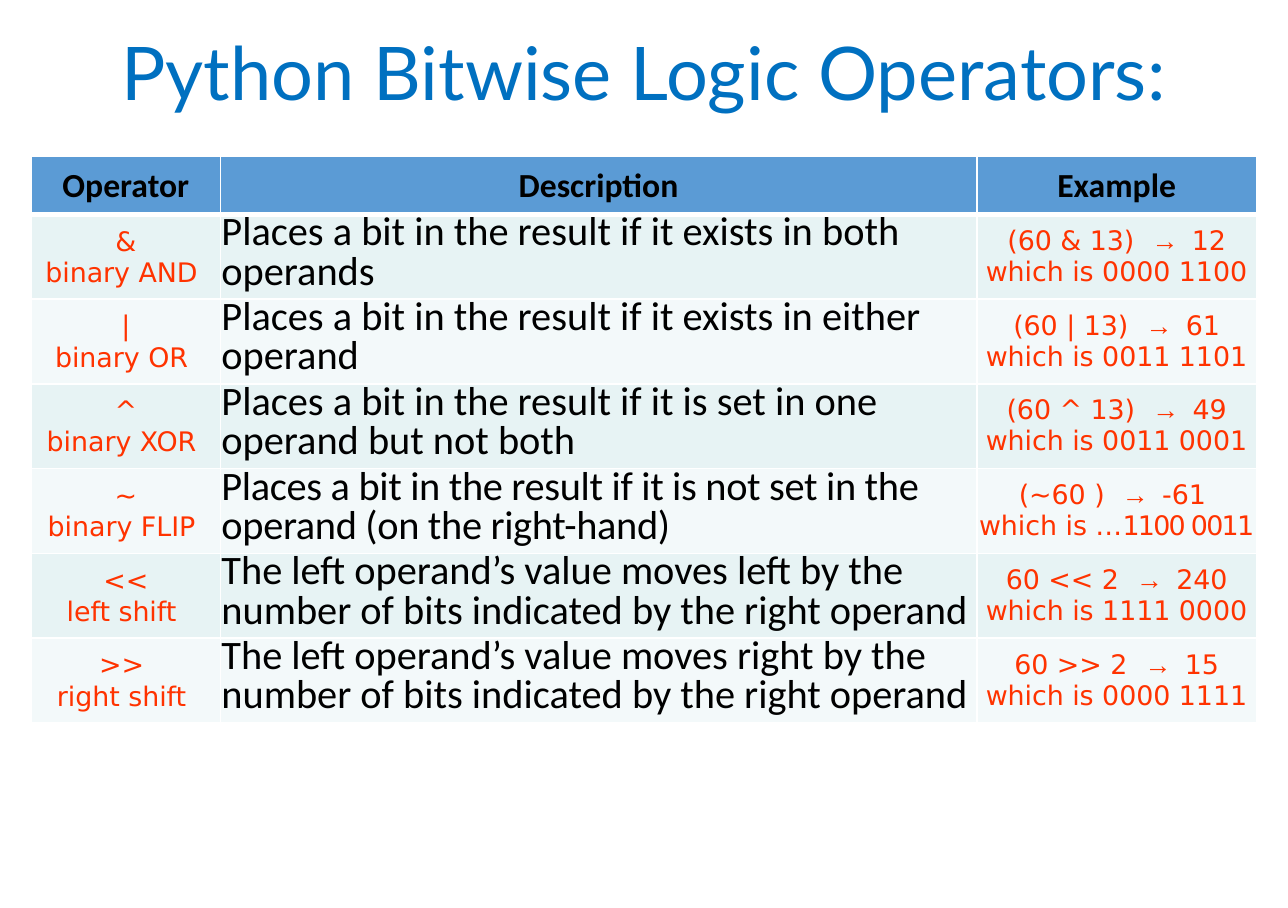
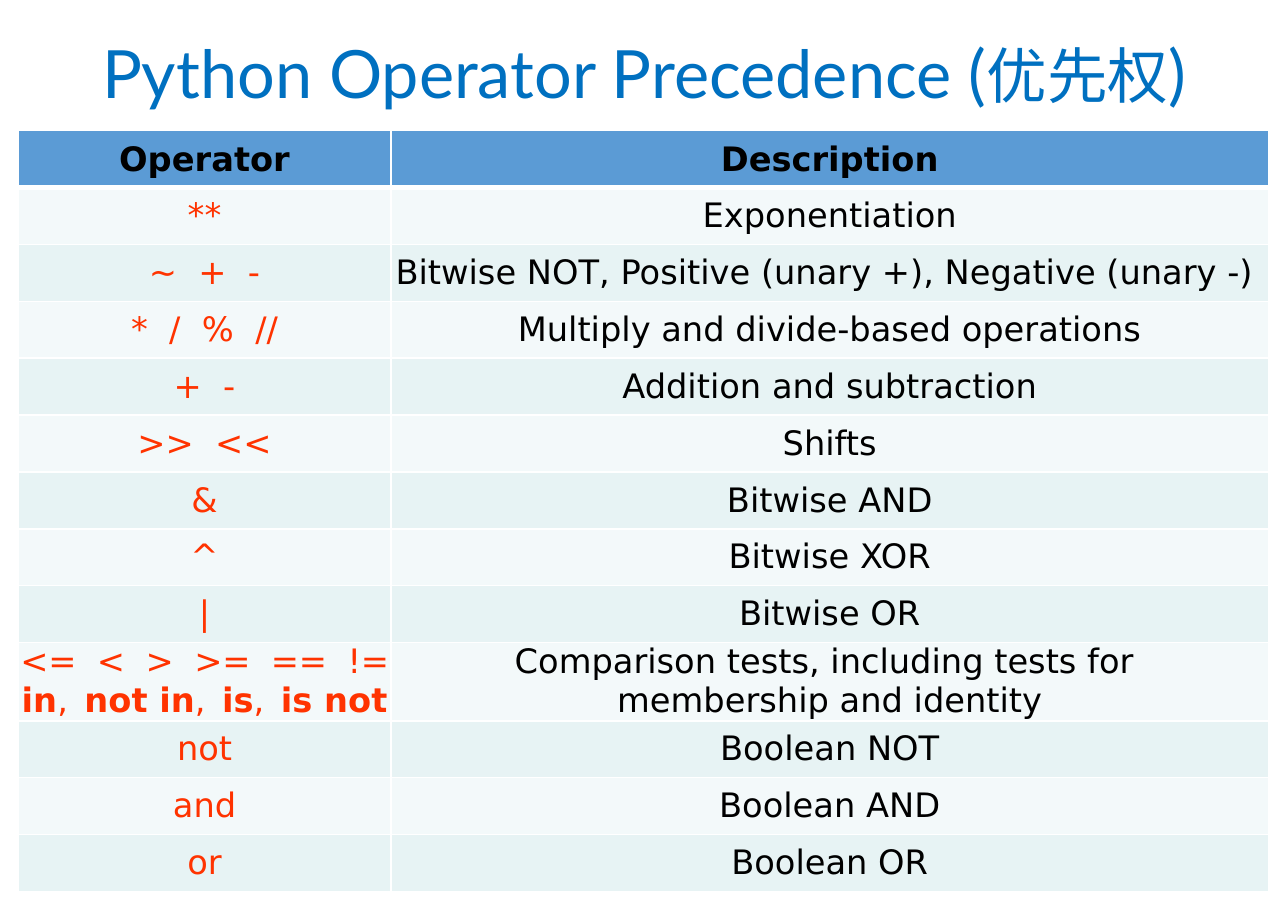
from dataclasses import dataclass, field
from typing import Any

from lxml import etree
from pptx import Presentation
from pptx.dml.color import RGBColor
from pptx.enum.text import MSO_ANCHOR, MSO_AUTO_SIZE, PP_ALIGN
from pptx.oxml.ns import qn
from pptx.util import Inches, Pt

LEFT, CENTER = PP_ALIGN.LEFT, PP_ALIGN.CENTER
TOP, MIDDLE = MSO_ANCHOR.TOP, MSO_ANCHOR.MIDDLE
NO_AUTOFIT = MSO_AUTO_SIZE.NONE
TITLE_ONLY = 5

TITLE_BLUE = RGBColor(0x00, 0x70, 0xC0)
HEADER_BLUE = RGBColor(0x5B, 0x9B, 0xD5)
BAND_DARK = RGBColor(0xE7, 0xF3, 0xF4)
BAND_LIGHT = RGBColor(0xF3, 0xF9, 0xFA)
CODE_RED = RGBColor(0xFF, 0x33, 0x00)
BLACK = RGBColor(0x00, 0x00, 0x00)
WHITE = RGBColor(0xFF, 0xFF, 0xFF)

TITLE_FONT, BODY_FONT = "Lato", "Calibri"
CODE_FONT, ARROW_FONT = "DejaVu Sans", "Times New Roman"
SLIDE_WIDTH, SLIDE_HEIGHT, TITLE_HEIGHT = 10.64, 7.5, 1.27
THIN, THICK = 1, 3


@dataclass(frozen=True)
class Run:
    """A piece of text with whatever differs from its cell's format."""
    text: str
    changes: dict[str, Any] = field(default_factory=dict)


@dataclass(frozen=True)
class CellStyle:
    """Text format and inner layout of a table cell."""
    font: str
    size: float
    color: RGBColor
    bold: bool = False
    align: Any = CENTER
    anchor: Any = MIDDLE
    insets: tuple[float, float, float, float] = (0, 0, 0, 0)
    line_spacing: float = 1.0


@dataclass(frozen=True)
class TablePlan:
    """Place, measures, styles and content of one table."""
    left: float
    top: float
    widths: list[float]
    heights: list[float]
    header: CellStyle
    columns: list[CellStyle]
    bands: tuple[RGBColor, RGBColor]
    headings: list[str]
    rows: list[tuple[str | list[Run], ...]]


def add_text(paragraph: Any, text: str, *, font: str, size: float, color: RGBColor,
             bold: bool = False, spacing: float = 0) -> None:
    """Append formatted text, turning newlines into line breaks."""
    for index, line in enumerate(text.split("\n")):
        if index:
            paragraph.add_line_break()
        if not line:
            continue
        run = paragraph.add_run()
        run.text = line
        run.font.name, run.font.size, run.font.bold = font, Pt(size), bold
        run.font.color.rgb = color
        if spacing:
            run.font._element.set("spc", str(round(spacing * 100)))


def add_title(slide: Any, runs: list[Run]) -> None:
    """Place and fill the slide's title placeholder."""
    title = slide.shapes.title
    title.left, title.top = Inches(0), Inches(0)
    title.width, title.height = Inches(SLIDE_WIDTH), Inches(TITLE_HEIGHT)
    frame = title.text_frame
    frame.word_wrap, frame.auto_size, frame.vertical_anchor = True, NO_AUTOFIT, MIDDLE
    paragraph = frame.paragraphs[0]
    paragraph.alignment, paragraph.line_spacing = CENTER, 0.9
    for run in runs:
        add_text(paragraph, run.text,
                 **{"font": TITLE_FONT, "size": 44, "color": TITLE_BLUE} | run.changes)


def set_borders(cell: Any, top: float, bottom: float) -> None:
    """Give a cell white borders; the sides are always thin."""
    properties = cell._tc.get_or_add_tcPr()
    for side, width in (("L", THIN), ("R", THIN), ("T", top), ("B", bottom)):
        border = etree.SubElement(properties, qn(f"a:ln{side}"), w=str(Pt(width)))
        fill = etree.SubElement(border, qn("a:solidFill"))
        etree.SubElement(fill, qn("a:srgbClr"), val=str(WHITE))


def fill_cell(cell: Any, content: str | list[Run], style: CellStyle, fill: RGBColor) -> None:
    """Colour a cell and write its content."""
    cell.fill.solid()
    cell.fill.fore_color.rgb = fill
    cell.vertical_anchor = style.anchor
    (cell.margin_left, cell.margin_top,
     cell.margin_right, cell.margin_bottom) = map(Inches, style.insets)
    paragraph = cell.text_frame.paragraphs[0]
    paragraph.alignment, paragraph.line_spacing = style.align, style.line_spacing
    base = {"font": style.font, "size": style.size, "color": style.color, "bold": style.bold}
    for run in [Run(content)] if isinstance(content, str) else content:
        add_text(paragraph, run.text, **base | run.changes)


def add_operator_table(slide: Any, plan: TablePlan) -> None:
    """Draw a header row and banded rows of operators."""
    table = slide.shapes.add_table(
        len(plan.heights), len(plan.widths), Inches(plan.left), Inches(plan.top),
        Inches(sum(plan.widths)), Inches(sum(plan.heights))).table
    for column, width in zip(table.columns, plan.widths):
        column.width = Inches(width)
    for row, height in zip(table.rows, plan.heights):
        row.height = Inches(height)
    for r, contents in enumerate([plan.headings, *plan.rows]):
        for c, content in enumerate(contents):
            cell = table.cell(r, c)
            set_borders(cell, THICK if r == 1 else THIN, THICK if r == 0 else THIN)
            style = plan.columns[c] if r else plan.header
            fill_cell(cell, content, style, plan.bands[(r - 1) % 2] if r else HEADER_BLUE)


def example(expression: str, *result: Run) -> list[Run]:
    """Return an expression, an arrow and its result."""
    return [Run(f"{expression}  "), Run("→  ", {"font": ARROW_FONT}), *result]


def keywords(*words: str) -> list[Run]:
    """Return bold words parted by plain commas and small gaps."""
    runs = [Run(words[0], {"bold": True})]
    for word in words[1:]:
        runs += [Run(","), Run("  ", {"size": 14, "bold": True}), Run(word, {"bold": True})]
    return runs


HEADER_INSETS = (0.01, 0.01, 0.01, 0)
SIDE_INSETS = (0.01, 0, 0.01, 0)

BITWISE = TablePlan(
    left=0.26, top=1.29, widths=[1.56, 6.25, 2.31], heights=[0.48] + [0.7] * 6,
    header=CellStyle(BODY_FONT, 20, BLACK, bold=True, insets=HEADER_INSETS),
    columns=[
        CellStyle(CODE_FONT, 16, CODE_RED, anchor=TOP, insets=(0.01, 0.1, 0.01, 0)),
        CellStyle(BODY_FONT, 24, BLACK, align=LEFT, anchor=TOP, insets=SIDE_INSETS,
                  line_spacing=0.8),
        CellStyle(CODE_FONT, 16, CODE_RED, insets=SIDE_INSETS),
    ],
    bands=(BAND_DARK, BAND_LIGHT),
    headings=["Operator", "Description", "Example"],
    rows=[
        ("&\nbinary AND ", "Places a bit in the result if it exists in both operands",
         example("(60 & 13)", Run("12 which is 0000 1100"))),
        ("|\nbinary OR ", "Places a bit in the result if it exists in either operand",
         example("(60 | 13)", Run("61 which is 0011 1101"))),
        ("^\nbinary XOR ", "Places a bit in the result if it is set in one operand but not both",
         example("(60 ^ 13)", Run("49 which is 0011 0001"))),
        ("~\nbinary FLIP ",
         [Run("Places a bit in the result if it is not set in the operand (on the right-hand)",
              {"spacing": -0.2})],
         example("(~60 )", Run("-61 \nwhich is …"), Run("1100 0011", {"spacing": -1}))),
        ("<<\nleft shift ", "The left operand’s value moves left by the number of bits "
         "indicated by the right operand",
         example("60 << 2", Run("240 which is 1111 0000"))),
        (">> \nright shift ", "The left operand’s value moves right by the number of bits "
         "indicated by the right operand",
         example("60 >> 2", Run("15 which is 0000 1111"))),
    ])

PRECEDENCE = TablePlan(
    left=0.15, top=1.08, widths=[3.08, 7.25], heights=[0.47] * 9 + [0.54] + [0.47] * 3,
    header=CellStyle(CODE_FONT, 20, BLACK, bold=True, insets=HEADER_INSETS),
    columns=[CellStyle(CODE_FONT, 20, CODE_RED), CellStyle(CODE_FONT, 20, BLACK)],
    bands=(BAND_LIGHT, BAND_DARK),
    headings=["Operator", "Description"],
    rows=[
        ("**", "Exponentiation"),
        ("~  +  -", "Bitwise NOT, Positive (unary +), Negative (unary -) "),
        ("*  /  %  //", "Multiply and divide-based operations"),
        ("+  -", "Addition and subtraction"),
        (">>  <<", "Shifts"),
        ("&", "Bitwise AND"),
        ("^", "Bitwise XOR"),
        ("|", "Bitwise OR"),
        ([Run("<=  <  >  >=  ==  !=\n", {"spacing": -0.2}),
          *keywords("in", "not in", "is", "is not")],
         "Comparison tests, including tests for \nmembership and identity"),
        ("not", "Boolean NOT"),
        ("and", "Boolean AND"),
        ("or", "Boolean OR"),
    ])

SLIDES = [
    ([Run("Python Bitwise Logic Operators:")], BITWISE),
    ([Run("Python Operator Precedence (", {"size": 39.6}), Run("优先权", {"size": 36}),
      Run(")", {"size": 39.6})], PRECEDENCE),
]


def main() -> None:
    """Build and save the presentation."""
    deck = Presentation()
    deck.slide_width, deck.slide_height = Inches(SLIDE_WIDTH), Inches(SLIDE_HEIGHT)
    for title, plan in SLIDES:
        slide = deck.slides.add_slide(deck.slide_layouts[TITLE_ONLY])
        add_title(slide, title)
        add_operator_table(slide, plan)
    deck.save("out.pptx")


main()
